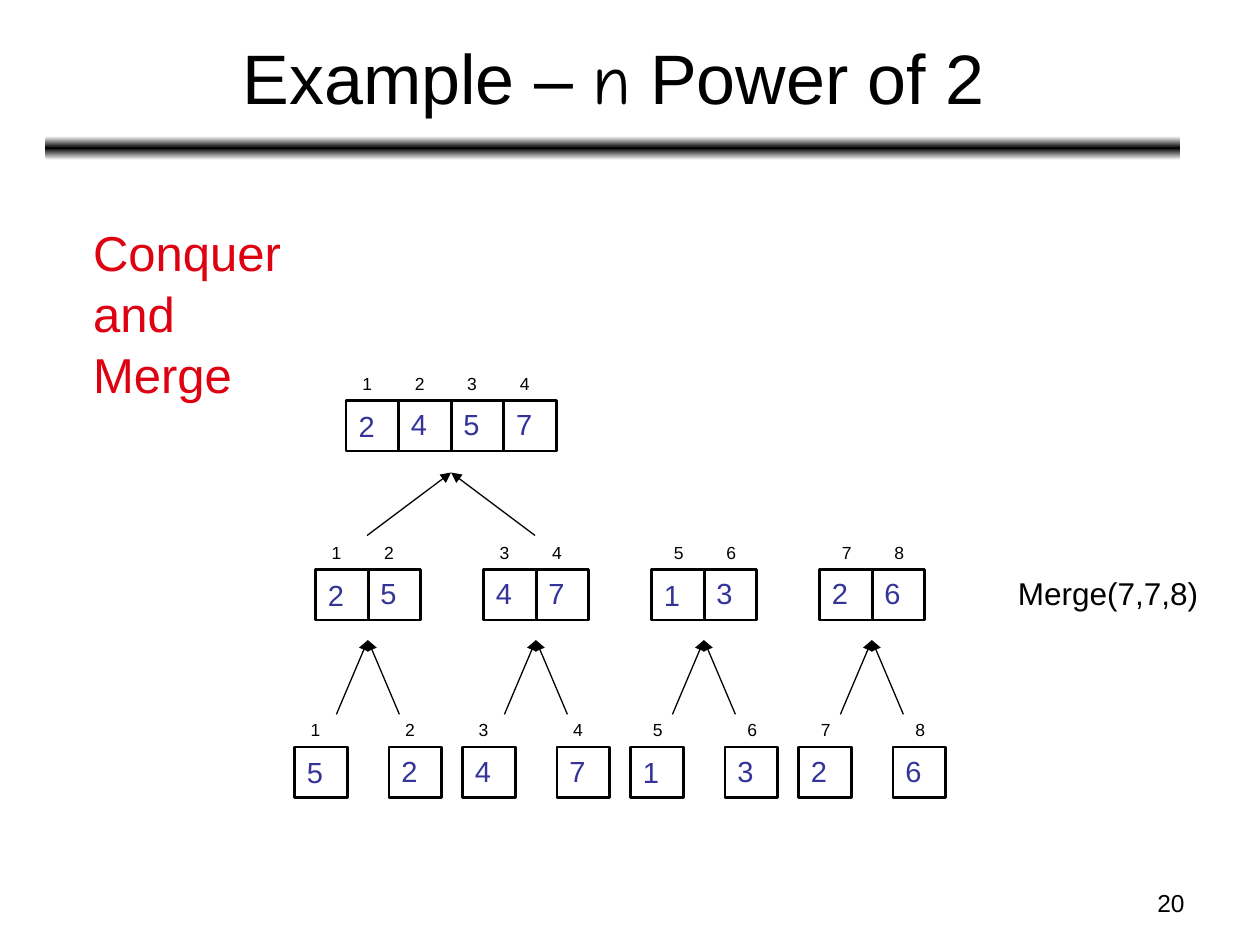
from copy import deepcopy

from lxml import etree
from pptx import Presentation
from pptx.dml.color import RGBColor
from pptx.enum.shapes import MSO_CONNECTOR, MSO_SHAPE
from pptx.enum.text import MSO_ANCHOR, PP_ALIGN
from pptx.oxml.ns import qn
from pptx.util import Inches, Pt

TOP, MIDDLE = MSO_ANCHOR.TOP, MSO_ANCHOR.MIDDLE
LEFT, CENTER, RIGHT = PP_ALIGN.LEFT, PP_ALIGN.CENTER, PP_ALIGN.RIGHT
RECT, ROUND_RECT = MSO_SHAPE.RECTANGLE, MSO_SHAPE.ROUNDED_RECTANGLE
STRAIGHT = MSO_CONNECTOR.STRAIGHT

COLORS = {"ink": "000000", "paper": "FFFFFF", "value": "333399", "heading": "DD0111"}
FONT, SYMBOL_FONT = "Arial", "Comic Neue"

CELL_W, CELL_H = 0.42, 0.4
CELL_STEP = 5 / 12
LABEL_W, LABEL_H = 0.25, 0.27
PAIR_X, PAIR_STEP = 2.92, 4 / 3  # centre of the first pair, and pair spacing
LEAF_STEP = 0.75
ROOT_X = 3.58
ROOT_Y, PAIR_Y, LEAF_Y = 3.18, 4.52, 5.93

PAIRS = [("25", "52"), ("47", "47"), ("13", "13"), ("26", "26")]  # sorted, leaves


def rgb(name):
    return RGBColor.from_string(COLORS[name])


def box(x, y, w, h):
    return [Inches(v) for v in (x, y, w, h)]


def write(sp, paragraphs, size, color="ink", align=LEFT, anchor=TOP, wrap=True, **spacing):
    """Fill a shape with paragraphs, each a list of (text, font) runs."""
    tf = sp.text_frame
    tf.word_wrap, tf.vertical_anchor = wrap, anchor
    for i, runs in enumerate(paragraphs):
        p = tf.paragraphs[0] if i == 0 else tf.add_paragraph()
        for key, value in {"alignment": align, **spacing}.items():
            setattr(p, key, value)
        for text, font in runs:
            r = p.add_run()
            r.text = text
            for key, value in {"name": font, "size": Pt(size)}.items():
                setattr(r.font, key, value)
            r.font.color.rgb = rgb(color)


def add_text(s, area, lines, size, **options):
    sp = s.shapes.add_textbox(*box(*area))
    write(sp, [[(line, FONT)] for line in lines], size, **options)


def add_title(s, area):
    sp = s.shapes.add_textbox(*box(*area))
    runs = [("Example – ", FONT), ("n", SYMBOL_FONT), (" Power of 2", FONT)]
    write(sp, [runs], 40, align=CENTER, anchor=MIDDLE)


def add_rule(s, area):
    """Horizontal bar that fades from black to white above and below."""
    sp = s.shapes.add_shape(ROUND_RECT, *box(*area))
    sp.shadow.inherit = False
    sp.line.fill.background()
    sp.fill.gradient()
    sp.fill.gradient_angle = 90
    stops = sp._element.spPr.find(qn("a:gradFill")).find(qn("a:gsLst"))
    stops.insert(1, deepcopy(stops[0]))
    fade = [(0, "paper"), (0.5, "ink"), (1, "paper")]
    for stop, (position, color) in zip(sp.fill.gradient_stops, fade):
        stop.position = position
        stop.color.rgb = rgb(color)


def add_cell(s, x, y, value, index):
    """Array cell with its index above it."""
    shift = 0.03 if index <= 4 else 0.08
    add_text(s, (x + shift, y - LABEL_H, LABEL_W, LABEL_H), [str(index)], 10)
    sp = s.shapes.add_shape(RECT, *box(x, y, CELL_W, CELL_H))
    sp.shadow.inherit = False
    sp.fill.background()
    sp.line.color.rgb = rgb("ink")
    sp.line.width = Pt(1.5)
    anchor = MIDDLE if index % 4 == 1 else TOP
    write(sp, [[(value, FONT)]], 16.6, color="value", anchor=anchor, space_before=Pt(4.5))


def add_cells(s, center, y, step, values, first_index):
    """Row of cells centred on a given x."""
    left = center - (step * (len(values) - 1) + CELL_STEP) / 2
    for i, value in enumerate(values):
        add_cell(s, left + i * step, y, value, first_index + i)


def add_arrows(s, center, top, spread, height):
    """Two arrows that rise from the children to their parent."""
    for side in (-1, 1):
        ends = box(center, top, center + side * spread, top + height)
        cx = s.shapes.add_connector(STRAIGHT, *ends)
        cx.line.color.rgb = rgb("ink")
        cx.line.width = Pt(0.75)
        spPr = cx._element.spPr
        etree.SubElement(spPr.find(qn("a:ln")), qn("a:headEnd"), type="triangle")
        etree.SubElement(spPr, qn("a:effectLst"))


def add_merge_tree(s):
    add_cells(s, ROOT_X, ROOT_Y, CELL_STEP, "2457", 1)
    add_arrows(s, ROOT_X, 3.75, PAIR_STEP / 2, 0.5)
    for i, (merged, leaves) in enumerate(PAIRS):
        center = PAIR_X + i * PAIR_STEP
        add_cells(s, center, PAIR_Y, CELL_STEP, merged, 2 * i + 1)
        add_arrows(s, center, 5.08, 0.25, 0.59)
        add_cells(s, center, LEAF_Y, LEAF_STEP, leaves, 2 * i + 1)


def main():
    prs = Presentation()
    prs.slide_width, prs.slide_height = Inches(10), Inches(7.5)
    s = prs.slides.add_slide(prs.slide_layouts[6])
    add_rule(s, (0.36, 1.08, 9.01, 0.19))
    add_text(s, (7.17, 7, 2.33, 0.35), ["20"], 14, align=RIGHT)
    add_title(s, (0.37, 0.11, 9, 0.99))
    add_merge_tree(s)
    add_text(s, (0.64, 1.72, 1.69, 1.5), ["Conquer", "and", "Merge"], 28,
             color="heading", wrap=False, space_after=Pt(1.25))
    add_text(s, (7.98, 4.51, 1.72, 0.4), ["Merge(7,7,8)"], 18)
    prs.save("out.pptx")


if __name__ == "__main__":
    main()
